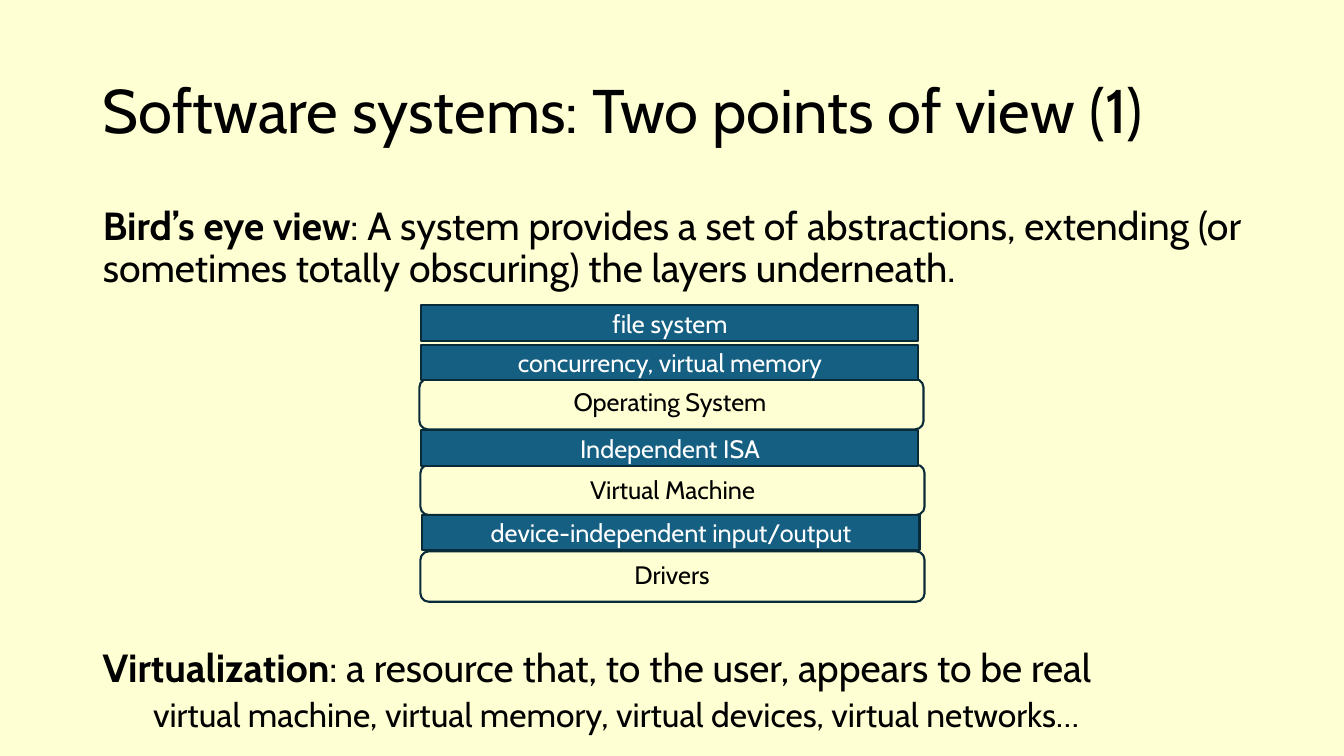
from dataclasses import dataclass

from lxml import etree
from pptx import Presentation
from pptx import util as u
from pptx.dml import color
from pptx.enum import shapes, text
from pptx.oxml import ns

SCALE = 9144  # EMU per px, 100 px to the inch


@dataclass(frozen=True)
class Theme:
    font: str = "Cabin"
    page: str = "FFFFD4"
    ink: str = "000000"
    pale: str = "FFFFFF"
    fill: str = "156082"
    edge: str = "092A39"
    head: int = 44
    lead: int = 28
    sub: int = 24
    label: int = 18


@dataclass(frozen=True)
class Box:
    left: int
    top: int
    width: int
    height: int

    def emu(self) -> list[int]:
        return [n * SCALE for n in (self.left, self.top, self.width, self.height)]


@dataclass(frozen=True)
class Layer:
    """A rounded part of the system with its own caption box."""
    name: str
    box: Box
    label: Box


@dataclass(frozen=True)
class Service:
    """A filled bar: the abstraction that a layer offers."""
    name: str
    left: int
    top: int


THEME = Theme()
BAR_W, BAR_H = 493, 35

LAYERS = [
    Layer("Operating System", Box(416, 376, 500, 50), Box(558, 378, 213, 40)),
    Layer("Drivers", Box(417, 547, 500, 50), Box(618, 550, 97, 40)),
    Layer("Virtual Machine", Box(417, 461, 500, 50), Box(572, 466, 190, 40)),
]
SERVICES = [
    Service("device-independent input/output", 419, 511),
    Service("Independent ISA", 418, 427),
    Service("concurrency, virtual memory", 418, 342),
    Service("file system", 418, 303),
]


def rgb(code: str) -> color.RGBColor:
    return color.RGBColor.from_string(code)


def style(para, size: int, ink: str = THEME.ink) -> None:
    para.font.name = THEME.font
    para.font.size = u.Pt(size)
    para.font.color.rgb = rgb(ink)


def place(shape, box: Box) -> None:
    shape.left, shape.top, shape.width, shape.height = box.emu()


def caption(frame, name: str, ink: str) -> None:
    para = frame.paragraphs[0]
    para.text = name
    para.alignment = text.PP_ALIGN.CENTER
    style(para, THEME.label, ink)


def plain(para, indent: int = 0) -> None:
    """Drop the bullet and set the left indent."""
    props = para._p.get_or_add_pPr()
    props.set("marL", str(indent * SCALE))
    props.set("indent", "0")
    etree.SubElement(props, ns.qn("a:buNone"))
    para.line_spacing = 0.9


def lead(frame, term: str, rest: str) -> None:
    """A bold term followed by its explanation."""
    frame.word_wrap = True
    frame.auto_size = text.MSO_AUTO_SIZE.NONE
    para = frame.paragraphs[0]
    plain(para)
    para.space_before = u.Pt(0)
    style(para, THEME.lead)
    run = para.add_run()
    run.text = term
    run.font.bold = True
    para.add_run().text = rest


def block(slide, kind, box: Box):
    shape = slide.shapes.add_shape(kind, *box.emu())
    shape.shadow.inherit = False
    shape.line.color.rgb = rgb(THEME.edge)
    shape.line.width = u.Pt(1.5)
    return shape


def layer(slide, item: Layer) -> None:
    block(slide, shapes.MSO_SHAPE.ROUNDED_RECTANGLE, item.box).fill.background()
    frame = slide.shapes.add_textbox(*item.label.emu()).text_frame
    frame.word_wrap = False
    frame.auto_size = text.MSO_AUTO_SIZE.SHAPE_TO_FIT_TEXT
    caption(frame, item.name, THEME.ink)


def service(slide, item: Service) -> None:
    box = Box(item.left, item.top, BAR_W, BAR_H)
    bar = block(slide, shapes.MSO_SHAPE.RECTANGLE, box)
    bar.fill.solid()
    bar.fill.fore_color.rgb = rgb(THEME.fill)
    bar.text_frame.vertical_anchor = text.MSO_ANCHOR.MIDDLE
    caption(bar.text_frame, item.name, THEME.pale)


def main() -> None:
    deck = Presentation()
    deck.slide_width, deck.slide_height = 1333 * SCALE, 750 * SCALE
    slide = deck.slides.add_slide(deck.slide_layouts[1])
    slide.background.fill.solid()
    slide.background.fill.fore_color.rgb = rgb(THEME.page)

    # Title
    title = slide.shapes.title
    place(title, Box(92, 40, 1150, 145))
    title.text_frame.vertical_anchor = text.MSO_ANCHOR.MIDDLE
    title.text_frame.auto_size = text.MSO_AUTO_SIZE.NONE
    head = title.text_frame.paragraphs[0]
    head.text = "Software systems: Two points of view (1)"
    head.alignment = text.PP_ALIGN.LEFT
    head.line_spacing = 0.9
    style(head, THEME.head)

    # Opening statement
    body = slide.placeholders[1]
    place(body, Box(92, 200, 1150, 113))
    lead(body.text_frame, "Bird’s eye view",
         ": A system provides a set of abstractions, extending "
         "(or sometimes totally obscuring) the layers underneath.")

    # Stack of layers and the services on top of them
    for item in LAYERS:
        layer(slide, item)
    for item in SERVICES:
        service(slide, item)

    # Closing statement with examples
    frame = slide.shapes.add_textbox(*Box(92, 639, 1150, 113).emu()).text_frame
    lead(frame, "Virtualization",
         ": a resource that, to the user, appears to be real")
    para = frame.add_paragraph()
    para.text = "virtual machine, virtual memory, virtual devices, virtual networks…"
    para.level = 1
    plain(para, 50)
    para.space_before = u.Pt(5)
    style(para, THEME.sub)

    deck.save("out.pptx")


if __name__ == "__main__":
    main()
